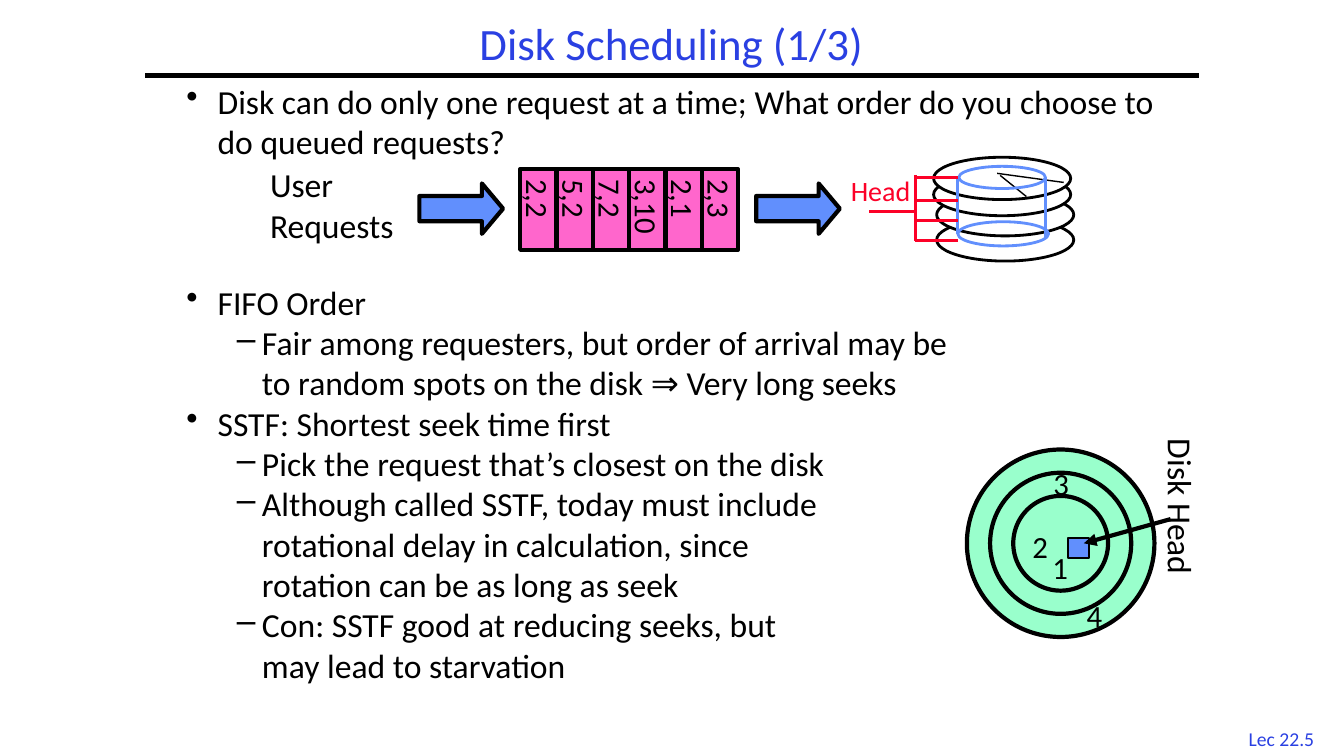
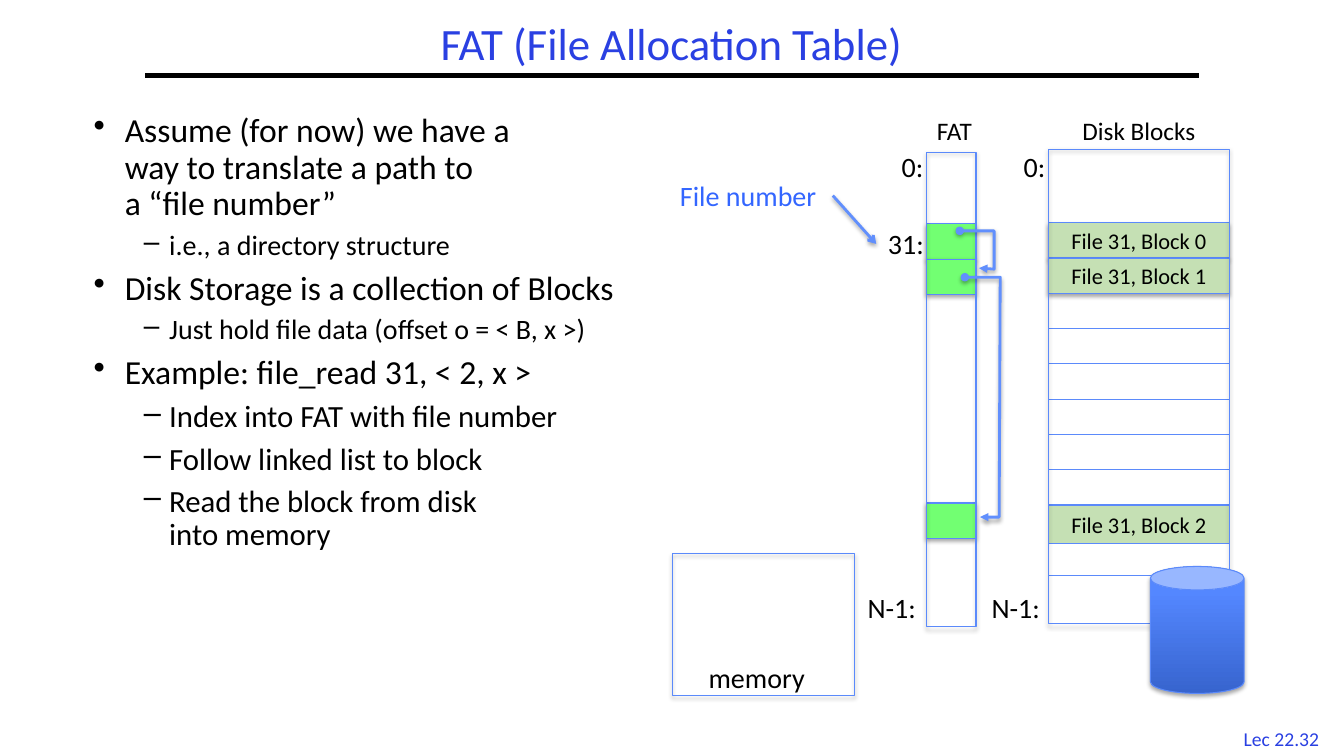
"""Build two lecture slides on disk scheduling and the file allocation table."""
from lxml.etree import SubElement
from pptx import Presentation
from pptx.dml.color import RGBColor
from pptx.enum.shapes import MSO_CONNECTOR, MSO_SHAPE
from pptx.enum.text import MSO_ANCHOR, PP_ALIGN
from pptx.oxml import parse_xml
from pptx.oxml.ns import qn
from pptx.util import Inches, Pt

FONT = "Calibri"
BLACK, WHITE, RED = "000000", "FFFFFF", "FC0128"
TITLE_BLUE, BLUE, EDGE_BLUE, LABEL_BLUE = "2A40E2", "618FFD", "5B8AFB", "3366FF"
PINK, MINT, GREEN, PALE_GREEN = "FF66CC", "99FFCC", "72FF72", "C5E0B4"
CENTER, MIDDLE = PP_ALIGN.CENTER, MSO_ANCHOR.MIDDLE
SHADOW = (
    '<a:outerShdw xmlns:a="http://schemas.openxmlformats.org/drawingml/2006/main" '
    'blurRad="39370" dist="22860" dir="5400000" rotWithShape="0">'
    '<a:srgbClr val="000000"><a:alpha val="35000"/></a:srgbClr></a:outerShdw>'
)


def place_box(slide, kind, place, lines=(), size=20, color=BLACK, align=PP_ALIGN.LEFT,
              anchor=MSO_ANCHOR.TOP, wrap=False, fill=None, line=None, width=0.75, shadow=False):
    """Place the title, a text box or a preset shape and format its text."""
    left, top, box_width, box_height = map(Inches, place)
    if kind == "title":
        shape = slide.shapes.title
        bounds = {"left": left, "top": top, "width": box_width, "height": box_height}
        for name, value in bounds.items():
            setattr(shape, name, value)
    elif kind == "text":
        shape = slide.shapes.add_textbox(left, top, box_width, box_height)
    else:
        shape = slide.shapes.add_shape(kind, left, top, box_width, box_height)
        shape.shadow.inherit = False
        shape.fill.background()
        if fill:
            shape.fill.solid()
            shape.fill.fore_color.rgb = RGBColor.from_string(fill)
        shape.line.color.rgb = RGBColor.from_string(line)
        shape.line.width = Pt(width)
        if shadow:
            shape.element.spPr.find(qn("a:effectLst")).append(parse_xml(SHADOW))
    frame = shape.text_frame
    frame.word_wrap = wrap
    frame.vertical_anchor = anchor
    for index, text in enumerate(lines):
        paragraph = frame.add_paragraph() if index else frame.paragraphs[0]
        paragraph.text = text
        paragraph.alignment = align
        for run in paragraph.runs:
            for name, value in {"name": FONT, "size": Pt(size), "bold": False}.items():
                setattr(run.font, name, value)
            run.font.color.rgb = RGBColor.from_string(color)
    return shape


def draw_line(slide, points, color, width, head=None, tail=None, shadow=False):
    """Draw a straight connector, or an open outline when there are bends."""
    corners = [(Inches(x), Inches(y)) for x, y in points]
    if len(corners) == 2:
        shape = slide.shapes.add_connector(MSO_CONNECTOR.STRAIGHT, *corners[0], *corners[1])
    else:
        builder = slide.shapes.build_freeform(*corners[0])
        builder.add_line_segments(corners[1:], close=False)
        shape = builder.convert_to_shape()
        shape.fill.background()
    shape.line.color.rgb = RGBColor.from_string(color)
    shape.line.width = Pt(width)
    outline = shape.element.spPr.find(qn("a:ln"))
    for tag, end in (("a:headEnd", head), ("a:tailEnd", tail)):
        if end:
            SubElement(outline, qn(tag), type=end)
    effects = SubElement(shape.element.spPr, qn("a:effectLst"))
    if shadow:
        effects.append(parse_xml(SHADOW))
    return shape


presentation = Presentation()
presentation.slide_width, presentation.slide_height = Inches(13.33), Inches(7.5)

pages = [
    {
        "title": "Disk Scheduling (1/3)", "number": "Lec 22.5",
        "place": (1.75, 0.75, 9.92, 6.58), "spacing": 1.0,
        "items": [
            (0, 24, 0, "Disk can do only one request at a time; What order do you choose to do queued requests?"),
            (0, 24, 86, "FIFO Order"),
            (1, 24, 0, "Fair among requesters, but order of arrival may be\nto random spots on the disk ⇒ Very long seeks"),
            (0, 24, 0, "SSTF: Shortest seek time first"),
            (1, 24, 0, "Pick the request that’s closest on the disk"),
            (1, 24, 0, "Although called SSTF, today must include\nrotational delay in calculation, since\nrotation can be as long as seek"),
            (1, 24, 0, "Con: SSTF good at reducing seeks, but\nmay lead to starvation"),
        ],
    },
    {
        "title": "FAT (File Allocation Table)", "number": "Lec 22.32",
        "place": (0.83, 1.08, 5.63, 4.76), "spacing": 0.9,
        "items": [
            (0, 24, 0, "Assume (for now) we have a\nway to translate a path to\na “file number”"),
            (1, 20, 6, "i.e., a directory structure"),
            (0, 24, 7, "Disk Storage is a collection of Blocks"),
            (1, 20, 6, "Just hold file data (offset o = < B, x >)"),
            (0, 24, 7, "Example: file_read 31, < 2, x >"),
            (1, 22, 6.5, "Index into FAT with file number"),
            (1, 22, 6.5, "Follow linked list to block"),
            (1, 22, 6.5, "Read the block from disk\ninto memory"),
        ],
    },
]
bullets = [("•", 0.31, -0.31), ("–", 0.75, -0.25)]

for page in pages:
    slide = presentation.slides.add_slide(presentation.slide_layouts[5])
    title = place_box(slide, "title", (1.44, 0.17, 10.44, 0.58), [page["title"]], 32, TITLE_BLUE,
                      CENTER, MIDDLE, True)
    title.text_frame.paragraphs[0].line_spacing = 0.9
    draw_line(slide, [(1.44, 0.75), (11.89, 0.75)], BLACK, 3)
    place_box(slide, "text", (12.17, 7.16, 1.08, 0.33), [page["number"]], 14, TITLE_BLUE, CENTER)
    body = place_box(slide, "text", page["place"], [item[3] for item in page["items"]], wrap=True)
    for paragraph, (level, size, space, text) in zip(body.text_frame.paragraphs, page["items"]):
        mark, margin, indent = bullets[level]
        properties = paragraph._p.get_or_add_pPr()
        properties.set("marL", str(Inches(margin)))
        properties.set("indent", str(Inches(indent)))
        SubElement(properties, qn("a:buChar"), char=mark)
        layout = {"level": level, "line_spacing": page["spacing"], "space_before": Pt(space)}
        for name, value in layout.items():
            setattr(paragraph, name, value)
        for run in paragraph.runs:
            run.font.size = Pt(size)

scheduling, allocation = presentation.slides

for index, request in enumerate(["2,2", "5,2", "7,2", "3,10", "2,1", "2,3"]):
    cell = place_box(scheduling, MSO_SHAPE.RECTANGLE, (5.16 + 0.36 * index, 1.68, 0.36, 0.8),
                     [request], 22, anchor=MIDDLE, fill=PINK, line=BLACK, width=3)
    cell.element.txBody.bodyPr.set("vert", "eaVert")

for left, top in [(9.29, 2.17), (9.29, 1.92), (9.26, 1.72), (9.26, 1.56)]:
    place_box(scheduling, MSO_SHAPE.OVAL, (left, top, 1.36, 0.42), fill=WHITE, line=BLACK, width=2)
for points in [[(9.92, 1.74), (10.18, 1.95)], [(9.89, 1.72), (10.55, 1.81)]]:
    draw_line(scheduling, points, BLACK, 1)
for place in [(9.5, 2.2, 0.9, 0.24), (9.51, 1.65, 0.86, 0.22)]:
    place_box(scheduling, MSO_SHAPE.OVAL, place, line=BLUE, width=2)
for x, bottom in [(9.5, 2.32), (10.37, 2.36)]:
    draw_line(scheduling, [(x, 1.76), (x, bottom)], BLUE, 2)

place_box(scheduling, "text", (8.34, 1.67, 0.87, 0.38), ["Head"], 20, RED)
draw_line(scheduling, [(9.08, 1.74), (9.08, 2.39)], RED, 2)
draw_line(scheduling, [(9.09, 2.1), (8.62, 2.1)], RED, 2)
for y in (1.76, 1.99, 2.19, 2.39):
    draw_line(scheduling, [(9.08, y), (9.5, y)], RED, 2)

for left in (4.16, 7.5):
    arrow = place_box(scheduling, MSO_SHAPE.RIGHT_ARROW, (left, 1.82, 0.83, 0.5),
                      fill=BLUE, line=BLACK, width=3)
    arrow.adjustments[1] = 0.42
place_box(scheduling, "text", (2.58, 1.58, 1.62, 0.91), ["User", "Requests"], 24)

for radius in (0.93, 0.7, 0.47):
    place_box(scheduling, MSO_SHAPE.OVAL, (10.52 - radius, 5.39 - radius, 2 * radius, 2 * radius),
              fill=MINT, line=BLACK, width=3)
place_box(scheduling, MSO_SHAPE.RECTANGLE, (10.59, 5.34, 0.21, 0.2), fill=BLUE, line=BLACK, width=1.5)
for label, left, top in [("1", 10.34, 5.39), ("2", 10.14, 5.19), ("3", 10.35, 4.56), ("4", 10.68, 5.87)]:
    place_box(scheduling, "text", (left, top, 0.37, 0.47), [label], 22)
head_label = place_box(scheduling, "text", (10.84, 4.88, 1.75, 0.5), ["Disk Head"], 24)
head_label.rotation = 90
draw_line(scheduling, [(11.61, 5.15), (10.75, 5.39)], BLACK, 3, tail="triangle")

file_rows = {0: "File 31, Block 0", 1: "File 31, Block 1", 8: "File 31, Block 2"}
row_top = 2.21
for row, height in enumerate([0.35] * 8 + [0.38, 0.32]):
    used = row in file_rows
    place_box(allocation, MSO_SHAPE.RECTANGLE, (10.4, row_top, 1.79, height),
              [file_rows[row]] if used else [], 16, align=CENTER, anchor=MIDDLE,
              fill=PALE_GREEN if used else None, line=EDGE_BLUE, shadow=row < 2)
    row_top += height

for top in (2.22, 2.57, 4.99):
    place_box(allocation, MSO_SHAPE.RECTANGLE, (9.19, top, 0.49, 0.35),
              fill=GREEN, line=EDGE_BLUE, shadow=True)
for place in [(10.4, 1.48, 1.79, 4.71), (9.19, 1.51, 0.49, 4.71), (6.67, 5.49, 1.81, 1.41)]:
    place_box(allocation, MSO_SHAPE.RECTANGLE, place, line=EDGE_BLUE, shadow=True)

labels = [
    ("Disk Blocks", (10.44, 1.09, 1.71, 0.4), 18),
    ("FAT", (9.14, 1.09, 0.65, 0.4), 18),
    ("0:", (8.83, 1.43, 0.44, 0.44), 20),
    ("0:", (10.04, 1.43, 0.44, 0.44), 20),
    ("N-1:", (8.48, 5.81, 0.73, 0.44), 20),
    ("N-1:", (9.71, 5.81, 0.73, 0.44), 20),
    ("memory", (6.9, 6.5, 1.21, 0.44), 20),
]
for text, place, size in labels:
    place_box(allocation, "text", place, [text], size, align=CENTER)

file_number = place_box(allocation, "text", (6.58, 1.72, 1.68, 0.44), ["File number"], 20, LABEL_BLUE, CENTER)
entry_label = place_box(allocation, "text", (8.69, 2.2, 0.59, 0.44), ["31:"], 20, align=CENTER)
pointer = draw_line(allocation, [(8.26, 1.94), (8.69, 2.42)], BLUE, 2, tail="arrow", shadow=True)
pointer.begin_connect(file_number, 3)
pointer.end_connect(entry_label, 1)

links = [
    [(9.52, 2.29), (9.86, 2.29), (9.86, 2.67), (9.71, 2.66)],
    [(9.57, 2.75), (9.92, 2.75), (9.91, 5.13), (9.72, 5.13)],
]
for points in links:
    draw_line(allocation, points, BLUE, 2, "oval", "triangle", True)

disk = place_box(allocation, MSO_SHAPE.CAN, (11.41, 5.62, 0.93, 1.26), line=EDGE_BLUE, shadow=True)
disk.fill.gradient()
disk.fill.gradient_angle = 90
for stop, color, position in zip(disk.fill.gradient_stops, ("3764CE", "5487FF"), (0, 0.8)):
    stop.color.rgb = RGBColor.from_string(color)
    stop.position = position

presentation.save("out.pptx")
